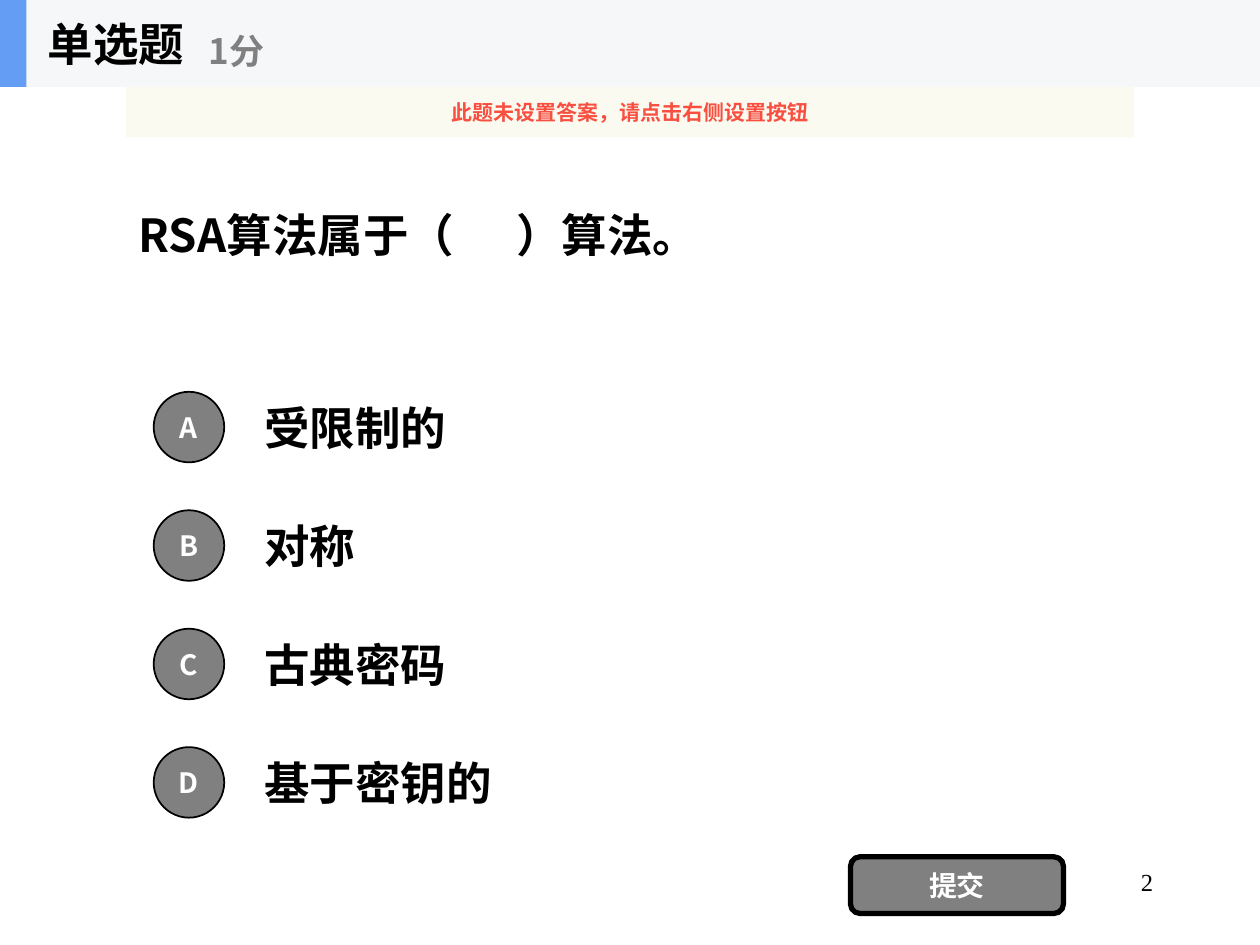
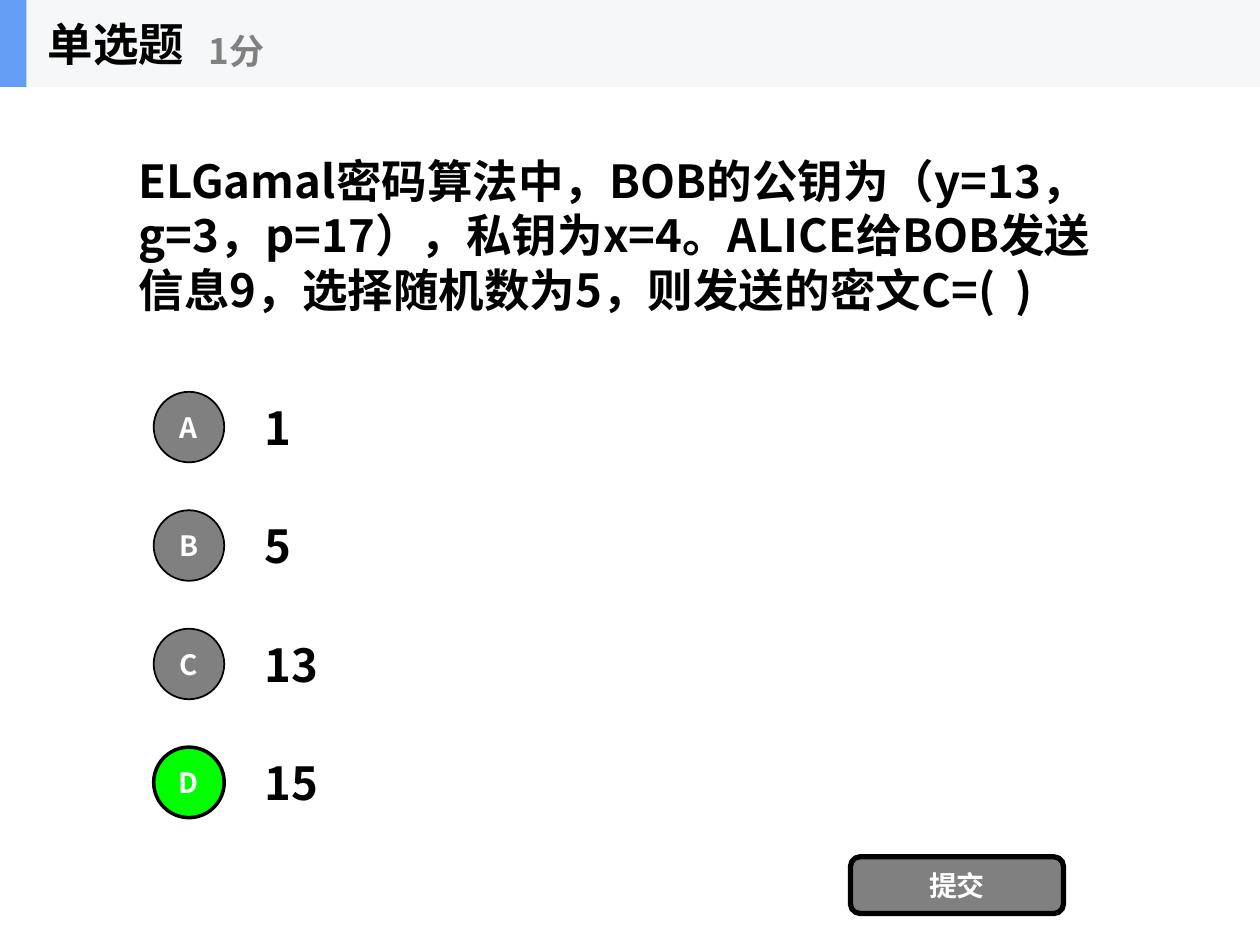
from lxml import etree
from pptx import Presentation
from pptx.dml.color import RGBColor
from pptx.enum import shapes, text
from pptx.oxml import ns
from pptx.util import Inches, Pt

QUESTIONS = [
    {
        "question": "RSA算法属于（      ）算法。",
        "options": ["受限制的", "对称", "古典密码", "基于密钥的"],
        "answer": None,
        "warning": "此题未设置答案，请点击右侧设置按钮",
        "page": "2",
    },
    {
        "question": "ELGamal密码算法中，BOB的公钥为（y=13，g=3，p=17），私钥为x=4。"
                    "ALICE给BOB发送信息9，选择随机数为5，则发送的密文C=(  )",
        "options": ["1", "5", "13", "15"],
        "answer": "D",
    },
]
KIND, SCORE, SUBMIT = "单选题", "1分", "提交"

COLORS = {
    "ink": "000000", "white": "FFFFFF", "gray": "808080", "correct": "00FF00",
    "band": "F6F7F8", "accent": "639EF4", "notice": "FBFAEF", "alert": "F84F41",
}
SANS, SERIF = "Noto Sans CJK SC", "Times New Roman"
LEFT, CENTER, RIGHT = text.PP_ALIGN.LEFT, text.PP_ALIGN.CENTER, text.PP_ALIGN.RIGHT
TOP, MIDDLE = text.MSO_ANCHOR.TOP, text.MSO_ANCHOR.MIDDLE
RECT, OVAL, ROUNDED = (shapes.MSO_SHAPE.RECTANGLE, shapes.MSO_SHAPE.OVAL,
                       shapes.MSO_SHAPE.ROUNDED_RECTANGLE)

BAND_HEIGHT = 0.69
QUESTION_BOX = (1, BAND_HEIGHT, 8, 2.34)
OPTION_TOP, OPTION_PITCH, OPTION_HEIGHT = 3.04, 0.94, 0.7
BADGE = 0.56


def rgb(name):
    return RGBColor.from_string(COLORS[name])


def write(shape, words, size=26, color="ink", align=LEFT, anchor=MIDDLE,
          font=SANS, bold=True):
    frame = shape.text_frame
    settings = {
        "word_wrap": True, "auto_size": text.MSO_AUTO_SIZE.NONE,
        "vertical_anchor": anchor,
        "margin_left": Inches(0.1), "margin_right": Inches(0.1),
        "margin_top": Inches(0.05), "margin_bottom": Inches(0.05),
    }
    for key, value in settings.items():
        setattr(frame, key, value)
    paragraph = frame.paragraphs[0]
    paragraph.alignment = align
    run = paragraph.add_run()
    run.text = words
    for key, value in {"name": font, "size": Pt(size), "bold": bold}.items():
        setattr(run.font, key, value)
    run.font.color.rgb = rgb(color)
    # East Asian characters take their typeface from a:ea
    etree.SubElement(run.font._element, ns.qn("a:ea"), typeface=font)


def add_text(parent, box, words, **style):
    write(parent.shapes.add_textbox(*map(Inches, box)), words, **style)


def add_block(parent, preset, box, fill, line=0):
    """Add a filled shape; line is the outline width in points, 0 for none."""
    block = parent.shapes.add_shape(preset, *map(Inches, box))
    block.shadow.inherit = False
    block.fill.solid()
    block.fill.fore_color.rgb = rgb(fill)
    if line:
        block.line.color.rgb = rgb("ink")
        block.line.width = Pt(line)
    else:
        block.line.fill.background()
    return block


def add_header(slide):
    header = slide.shapes.add_group_shape()
    add_block(header, RECT, (0, 0, 10, BAND_HEIGHT), "band")
    add_block(header, RECT, (0, 0, 0.21, BAND_HEIGHT), "accent")
    add_text(header, (0.28, 0, 2.08, BAND_HEIGHT), KIND)
    add_text(header, (1.56, 0.12, 2.5, 0.56), SCORE, size=20, color="gray")


def add_question(slide, words):
    question = slide.shapes.title
    for side, length in zip(("left", "top", "width", "height"), QUESTION_BOX):
        setattr(question, side, Inches(length))
    write(question, words)


def add_options(slide, options, answer):
    for row, (letter, option) in enumerate(zip("ABCD", options)):
        top = OPTION_TOP + row * OPTION_PITCH
        add_text(slide, (2, top, 7, OPTION_HEIGHT), option)
        fill, line = ("correct", 2) if letter == answer else ("gray", 1)
        badge_top = top + (OPTION_HEIGHT - BADGE) / 2
        badge = add_block(slide, OVAL, (1.22, badge_top, BADGE, BADGE), fill, line)
        write(badge, letter, size=16, color="white", align=CENTER)


def add_submit(slide):
    button = add_block(slide, ROUNDED, (6.75, 6.8, 1.69, 0.45), "gray", 3)
    write(button, SUBMIT, size=16, color="white", align=CENTER)


def add_warning(slide, words):
    notice = add_block(slide, RECT, (1, BAND_HEIGHT, 8, 0.4), "notice")
    tint = notice._element.spPr.find(".//" + ns.qn("a:srgbClr"))
    etree.SubElement(tint, ns.qn("a:alpha"), val="90000")
    write(notice, words, size=12, color="alert", align=CENTER)


def main():
    deck = Presentation()
    deck.slide_width, deck.slide_height = Inches(10), Inches(7.5)
    for item in QUESTIONS:
        slide = deck.slides.add_slide(deck.slide_layouts[5])
        add_question(slide, item["question"])
        if "page" in item:
            add_text(slide, (7.17, 6.83, 2.08, 0.5), item["page"], size=14,
                     align=RIGHT, anchor=TOP, font=SERIF, bold=False)
        add_options(slide, item["options"], item["answer"])
        add_submit(slide)
        add_header(slide)
        if "warning" in item:
            add_warning(slide, item["warning"])
    deck.save("out.pptx")


if __name__ == "__main__":
    main()
